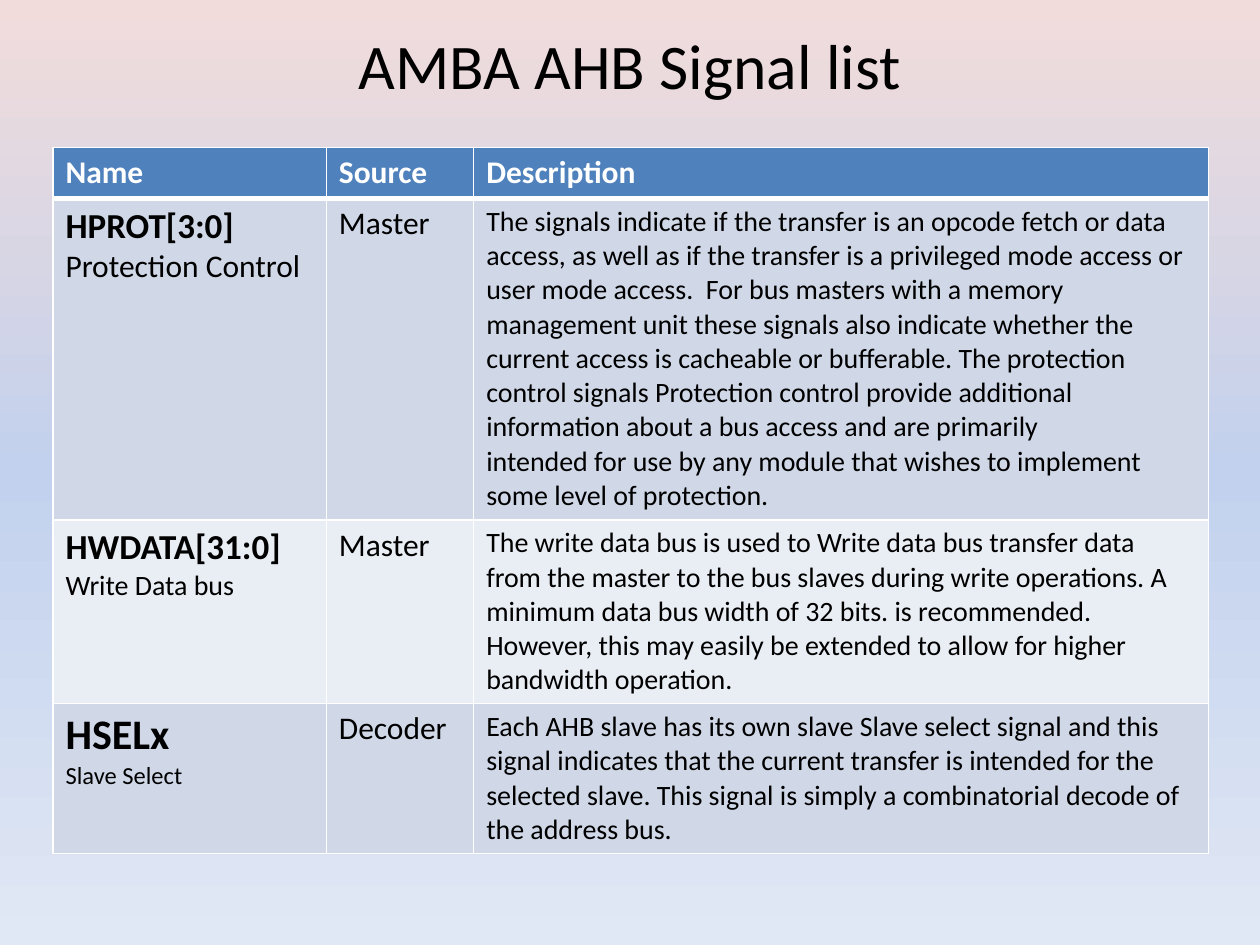
import copy
from dataclasses import dataclass

import pptx
import pptx.dml.color
import pptx.enum.text
import pptx.oxml
import pptx.oxml.ns
import pptx.util
from pptx.dml.color import RGBColor
from pptx.util import Inches

BLACK = RGBColor(0x00, 0x00, 0x00)
WHITE = RGBColor(0xFF, 0xFF, 0xFF)
HEADER_BLUE = RGBColor(0x4F, 0x81, 0xBD)
BANDS = (RGBColor(0xD0, 0xD8, 0xE8), RGBColor(0xE9, 0xED, 0xF4))
BACKGROUND = (
    (0.0, RGBColor(0xF2, 0xDC, 0xDB)),
    (0.5, RGBColor(0xC2, 0xD1, 0xED)),
    (1.0, RGBColor(0xE1, 0xE8, 0xF5)),
)
FONT = "Calibri"
HEADERS = ("Name", "Source", "Description")
COLUMN_WIDTHS = (2.17, 1.17, 5.83)
HEADER_HEIGHT = 0.4


@dataclass
class Line:
    text: str
    size: float
    bold: bool = False
    color: RGBColor = BLACK


@dataclass
class Signal:
    name: str
    name_size: float
    meaning: str
    meaning_size: float
    source: str
    description: tuple[str, ...]
    height: float


SIGNALS = (
    Signal("HPROT[3:0]", 20, "Protection Control", 18, "Master", (
        "The signals indicate if the transfer is an opcode fetch or data access, "
        "as well as if the transfer is a privileged mode access or user mode access.  "
        "For bus masters with a memory management unit these signals also indicate "
        "whether the current access is cacheable or bufferable. The protection control "
        "signals Protection control provide additional information about a bus access "
        "and are primarily",
        "intended for use by any module that wishes to implement some level of protection.",
    ), 2.55),
    Signal("HWDATA[31:0]", 20, "Write Data bus", 16, "Master", (
        "The write data bus is used to Write data bus transfer data from the master to "
        "the bus slaves during write operations. A minimum data bus width of 32 bits. is "
        "recommended. However, this may easily be extended to allow for higher bandwidth "
        "operation.",
    ), 1.45),
    Signal("HSELx", 24, "Slave Select", 14, "Decoder", (
        "Each AHB slave has its own slave Slave select signal and this signal indicates "
        "that the current transfer is intended for the selected slave. This signal is "
        "simply a combinatorial decode of the address bus.",
    ), 1.19),
)


def write_lines(tf: pptx.text.text.TextFrame, lines: list[Line]) -> None:
    tf.text = "\n".join(line.text for line in lines)
    for p, line in zip(tf.paragraphs, lines):
        font = p.runs[0].font
        font.name = FONT
        font.size = pptx.util.Pt(line.size)
        font.bold = line.bold
        font.color.rgb = line.color


def add_borders(cell: pptx.table._Cell, top: float, bottom: float) -> None:
    """Draw white borders; must run before the cell is filled."""
    tc_pr = cell._tc.get_or_add_tcPr()
    for side, width in (("L", 1), ("R", 1), ("T", top), ("B", bottom)):
        tc_pr.append(pptx.oxml.parse_xml(
            f'<a:ln{side} {pptx.oxml.ns.nsdecls("a")} w="{pptx.util.Pt(width)}">'
            f'<a:solidFill><a:srgbClr val="{WHITE}"/></a:solidFill></a:ln{side}>'
        ))


def fill_row(table: pptx.table.Table, index: int, height: float,
             color: RGBColor, contents: list[list[Line]]) -> None:
    table.rows[index].height = Inches(height)
    for cell, lines in zip(table.rows[index].cells, contents):
        add_borders(cell, top=3 if index == 1 else 1, bottom=3 if index == 0 else 1)
        cell.fill.solid()
        cell.fill.fore_color.rgb = color
        write_lines(cell.text_frame, lines)


def set_background(s: pptx.slide.Slide) -> None:
    fill = s.background.fill
    fill.gradient()
    fill.gradient_angle = 270
    stops = s.element.find(".//" + pptx.oxml.ns.qn("a:gsLst"))
    stops.append(copy.deepcopy(stops[0]))
    for stop, (position, color) in zip(fill.gradient_stops, BACKGROUND):
        stop.position = position
        stop.color.rgb = color


def add_title(s: pptx.slide.Slide, text: str) -> None:
    sp = s.shapes.add_textbox(Inches(0.5), Inches(0.13), Inches(9), Inches(0.62))
    tf = sp.text_frame
    tf.word_wrap = True
    tf.margin_top = Inches(0.08)
    tf.margin_bottom = 0
    write_lines(tf, [Line(text, 36.3)])
    tf.paragraphs[0].alignment = pptx.enum.text.PP_ALIGN.CENTER


def add_signal_table(s: pptx.slide.Slide) -> None:
    height = HEADER_HEIGHT + sum(signal.height for signal in SIGNALS)
    table = s.shapes.add_table(
        len(SIGNALS) + 1, len(HEADERS), Inches(0.42), Inches(1.17),
        Inches(sum(COLUMN_WIDTHS)), Inches(height),
    ).table
    for column, width in zip(table.columns, COLUMN_WIDTHS):
        column.width = Inches(width)
    fill_row(table, 0, HEADER_HEIGHT, HEADER_BLUE,
             [[Line(header, 18, True, WHITE)] for header in HEADERS])
    for i, signal in enumerate(SIGNALS):
        fill_row(table, i + 1, signal.height, BANDS[i % 2], [
            [Line(signal.name, signal.name_size, True),
             Line(signal.meaning, signal.meaning_size)],
            [Line(signal.source, 18)],
            [Line(text, 16) for text in signal.description],
        ])


def main() -> None:
    prs = pptx.Presentation()
    prs.slide_width = Inches(10)
    prs.slide_height = Inches(7.5)
    s = prs.slides.add_slide(prs.slide_layouts[6])
    set_background(s)
    add_signal_table(s)
    add_title(s, "AMBA AHB Signal list")
    prs.save("out.pptx")


if __name__ == "__main__":
    main()
